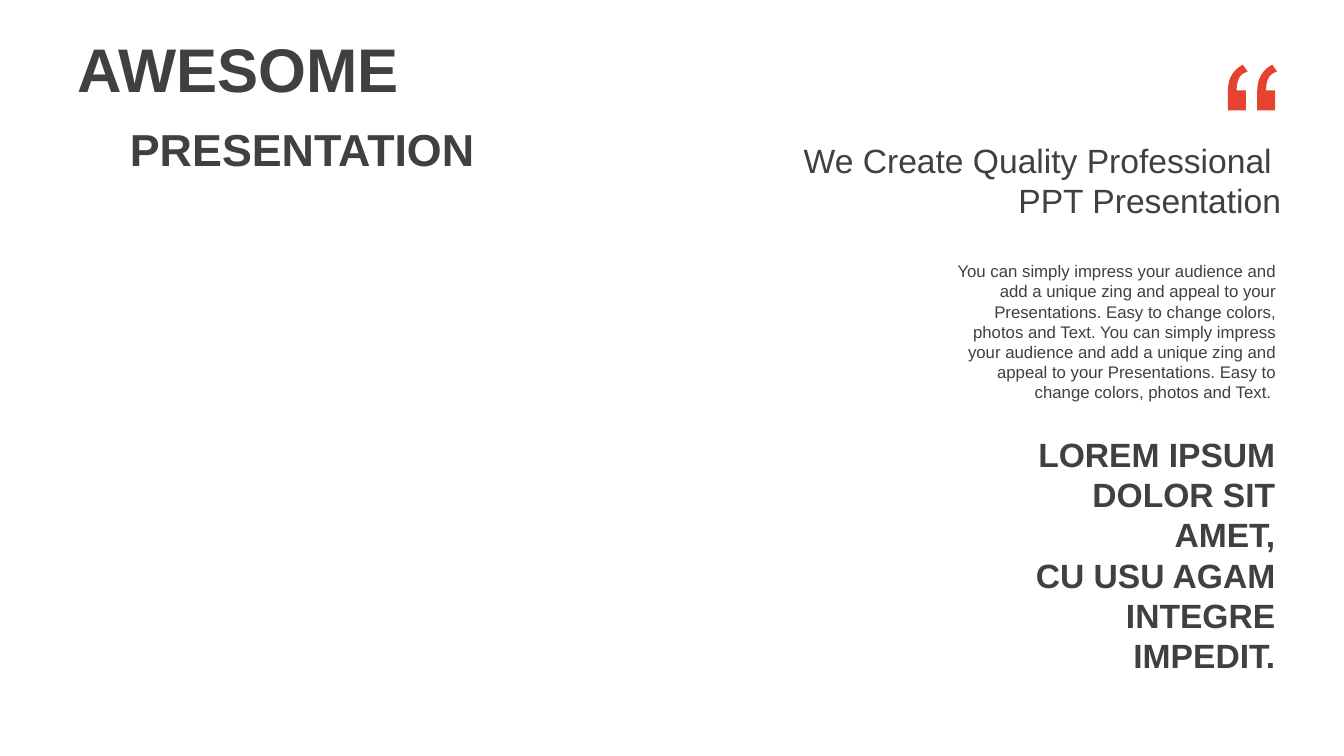
import pptx
import pptx.util
import pptx.dml.color
import pptx.enum.shapes
import pptx.enum.text
import pptx.oxml
import pptx.oxml.ns

Pt = pptx.util.Pt
ALIGN = pptx.enum.text.PP_ALIGN
ANCHOR = pptx.enum.text.MSO_ANCHOR

COLORS = {"text": "404040", "accent": "E64230", "panel": "FFFFFF"}
FONT = "Arial"
BODY = (
    "You can simply impress your audience and add a unique zing and appeal "
    "to your Presentations. Easy to change colors, photos and Text. "
)


def rgb(name):
    return pptx.dml.color.RGBColor.from_string(COLORS[name])


def paint(sp, color):
    sp.shadow.inherit = False
    sp.fill.solid()
    sp.fill.fore_color.rgb = rgb(color)
    sp.line.fill.background()


def add_text(slide, box, lines, size, bold=False, align=ALIGN.RIGHT,
             anchor=ANCHOR.MIDDLE, insets=(7.2, 3.6)):
    tf = slide.shapes.add_textbox(*map(Pt, box)).text_frame
    tf.word_wrap = True
    tf.auto_size = pptx.enum.text.MSO_AUTO_SIZE.SHAPE_TO_FIT_TEXT
    tf.vertical_anchor = anchor
    tf.margin_left = tf.margin_right = Pt(insets[0])
    tf.margin_top = tf.margin_bottom = Pt(insets[1])
    for i, line in enumerate(lines):
        p = tf.add_paragraph() if i else tf.paragraphs[0]
        p.alignment = align
        r = p.add_run()
        r.text = line
        r.font.name = FONT
        r.font.size = Pt(size)
        r.font.bold = bold
        r.font.color.rgb = rgb("text")


def add_panel(slide, box, opacity):
    sp = slide.shapes.add_shape(
        pptx.enum.shapes.MSO_SHAPE.RECTANGLE, *map(Pt, box))
    paint(sp, "panel")
    clr = sp.fill._xPr.find(".//" + pptx.oxml.ns.qn("a:srgbClr"))
    alpha = pptx.oxml.parse_xml(
        f'<a:alpha {pptx.oxml.ns.nsdecls("a")} val="{opacity * 1000}"/>')
    clr.append(alpha)


def curve(p0, p1, p2, p3, steps=8):
    """Points along a cubic Bezier curve, without its start."""
    points = []
    for i in range(1, steps + 1):
        t = i / steps
        u = 1 - t
        points.append(tuple(
            u**3 * a + 3 * u * u * t * b + 3 * u * t * t * c + t**3 * d
            for a, b, c, d in zip(p0, p1, p2, p3)))
    return points


def add_quote(slide, left, top, pitch):
    tip = (10.8, 0)
    mark = [
        tip, (14.2, 5),
        *curve((14.2, 5), (11.5, 5.8), (9.2, 7.4), (8.2, 9.4)),
        *curve((8.2, 9.4), (7, 11.6), (6.4, 14.6), (6.3, 18.4)),
        (12.9, 18.4), (12.9, 32.6), (0, 32.6), (0, 21.2),
        *curve((0, 21.2), (0, 15.5), (0.7, 11.3), (2.3, 8.5)),
        *curve((2.3, 8.5), (4, 5), (6.8, 2.2), tip),
    ]
    outlines = [[(Pt(left + dx + x), Pt(top + y)) for x, y in mark]
                for dx in (0, pitch)]
    fb = slide.shapes.build_freeform(*outlines[0][0])
    for i, outline in enumerate(outlines):
        if i:
            fb.move_to(*outline[0])
        fb.add_line_segments(outline[1:], close=True)
    paint(fb.convert_to_shape(), "accent")


def main():
    prs = pptx.Presentation()
    prs.slide_width, prs.slide_height = Pt(960), Pt(540)
    slide = prs.slides.add_slide(prs.slide_layouts[6])

    # Translucent panel behind the right column
    add_panel(slide, (549.4, 30.2, 399.6, 479.5), opacity=70)

    # Closing statement
    add_text(slide, (703.4, 305.3, 214.6, 181.4),
             ["LOREM IPSUM DOLOR SIT AMET,", "CU USU AGAM INTEGRE IMPEDIT."],
             24, bold=True)

    # Title
    add_text(slide, (48.2, 18, 344.9, 60.5), ["AWESOME"], 44,
             bold=True, align=ALIGN.JUSTIFY)
    add_text(slide, (85.7, 82.8, 380.9, 46.1), ["PRESENTATION"], 32,
             bold=True, align=ALIGN.JUSTIFY)

    # Tagline and body
    add_text(slide, (566.6, 99.4, 351.4, 58.3),
             ["We Create Quality Professional ", "PPT Presentation"],
             24, insets=(2.88, 0))
    add_text(slide, (667.4, 182.9, 251.3, 108.7), [BODY * 2], 12,
             anchor=ANCHOR.TOP)

    # Quotation mark
    add_quote(slide, 877, 46.2, pitch=21)

    prs.save("out.pptx")


if __name__ == "__main__":
    main()
